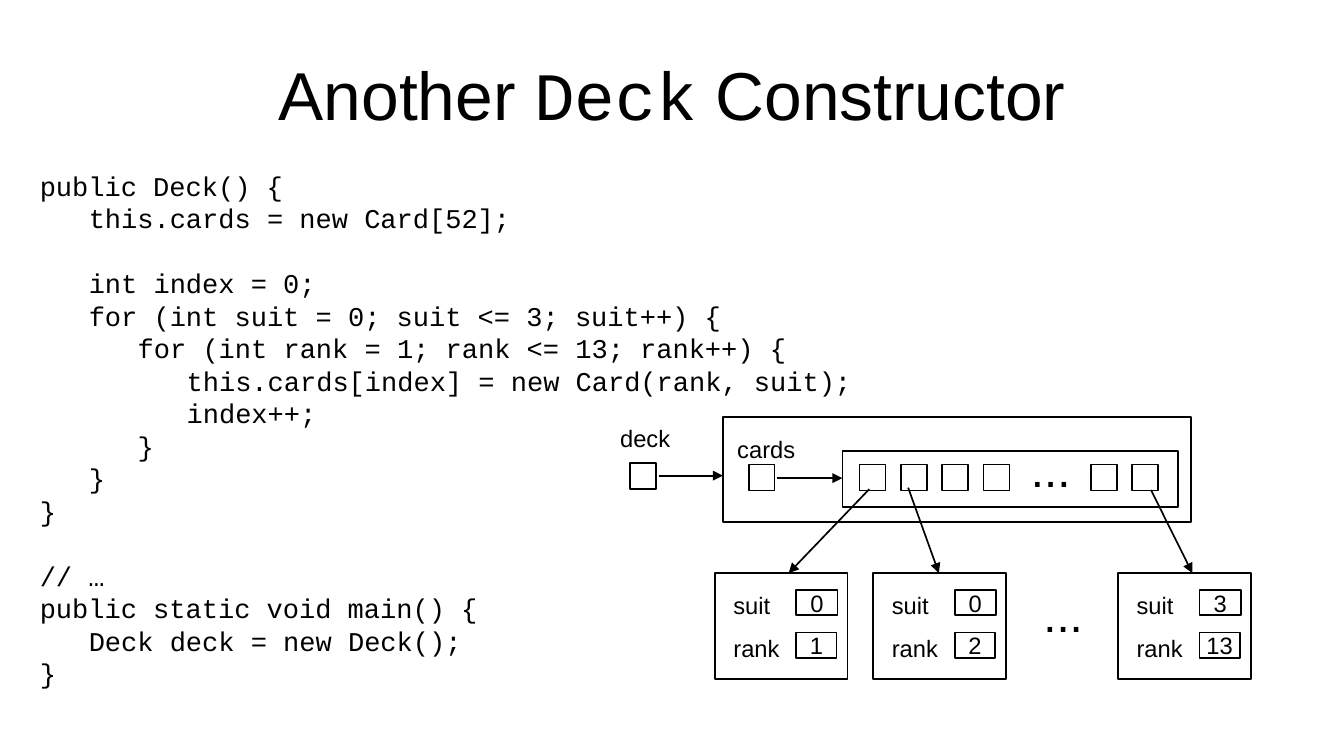
import dataclasses
import typing

import pptx
import pptx.dml.color
import pptx.enum.shapes
import pptx.enum.text
import pptx.oxml
import pptx.oxml.ns
import pptx.util

Cm = pptx.util.Cm
Pt = pptx.util.Pt
RGB = pptx.dml.color.RGBColor
Anchor = pptx.enum.text.MSO_ANCHOR
Align = pptx.enum.text.PP_ALIGN
Fit = pptx.enum.text.MSO_AUTO_SIZE


@dataclasses.dataclass(frozen=True)
class Theme:
    ink: RGB = RGB(0, 0, 0)
    paper: RGB = RGB(255, 255, 255)
    sans: str = "Arial"
    mono: str = "Courier New"
    title: float = 40
    code: float = 16
    label: float = 14
    dots: float = 28
    line: float = 1
    pitch: float = 19.2


class Box(typing.NamedTuple):
    left: float
    top: float
    width: float
    height: float
    text: str = ""
    filled: bool = True


class Label(typing.NamedTuple):
    left: float
    top: float
    width: float
    height: float
    text: str
    size: float


class Arrow(typing.NamedTuple):
    x1: float
    y1: float
    x2: float
    y2: float


class Card(typing.NamedTuple):
    left: float
    suit: str
    rank: str


class Line(typing.NamedTuple):
    level: int
    text: str
    gap: bool = False


THEME = Theme()
INSET = {"margin_left": Cm(0.25), "margin_right": Cm(0.25),
         "margin_top": Cm(0.13), "margin_bottom": Cm(0.13)}
LABEL = {**INSET, "word_wrap": False, "auto_size": Fit.SHAPE_TO_FIT_TEXT,
         "vertical_anchor": Anchor.TOP}
VALUE = {"margin_left": Cm(0.28), "margin_right": Cm(0.28),
         "margin_top": Cm(0.15), "margin_bottom": Cm(0.15),
         "word_wrap": False, "vertical_anchor": Anchor.MIDDLE}
TITLE = {"margin_left": 0, "margin_right": 0, "margin_top": 0,
         "margin_bottom": 0, "vertical_anchor": Anchor.MIDDLE}

CODE = [
    Line(0, "public Deck() {"),
    Line(1, "this.cards = new Card[52];"),
    Line(1, "int index = 0;", True),
    Line(1, "for (int suit = 0; suit <= 3; suit++) {"),
    Line(2, "for (int rank = 1; rank <= 13; rank++) {"),
    Line(3, "this.cards[index] = new Card(rank, suit);"),
    Line(3, "index++;"),
    Line(2, "}"),
    Line(1, "}"),
    Line(0, "}"),
    Line(0, "// …", True),
    Line(0, "public static void main() {"),
    Line(1, "Deck deck = new Deck();"),
    Line(0, "}"),
]
INDENT = Cm(1.02)
CELL = 0.54
CELL_TOP = 9.68
CELL_STEP = 0.86
CELL_LEFT = 17.91
SLOTS = [0, 1, 2, 3, 5.6, 6.6]
CARD_TOP = 11.94
BOXES = [
    Box(15.06, 8.69, 9.75, 2.18, filled=False),
    Box(17.55, 9.4, 6.99, 1.17),
    Box(13.13, 9.65, CELL, CELL),
    Box(15.6, CELL_TOP, CELL, CELL),
    *[Box(CELL_LEFT + slot * CELL_STEP, CELL_TOP, CELL, CELL) for slot in SLOTS],
]
LABELS = [
    Label(12.67, 8.69, 1.55, 0.81, "deck", THEME.label),
    Label(15.11, 8.92, 1.73, 0.81, "cards", THEME.label),
    Label(21.23, 9.04, 1.4, 1.35, "...", THEME.dots),
    Label(21.49, 12.07, 1.4, 1.35, "...", THEME.dots),
]
CARDS = [Card(14.89, "0", "1"), Card(18.19, "0", "2"), Card(23.29, "3", "13")]
ARROWS = [
    Arrow(13.72, 9.91, 15.06, 9.91),
    Arrow(16.18, 9.96, 17.55, 9.96),
    Arrow(18.11, 10.19, 16.43, CARD_TOP),
    Arrow(18.92, 10.16, 19.56, CARD_TOP),
    Arrow(23.98, 10.21, 24.84, CARD_TOP),
]


def apply(target: typing.Any, values: dict) -> None:
    for name, value in values.items():
        setattr(target, name, value)


def add_run(par: typing.Any, text: str, size: float, face: str) -> None:
    run = par.add_run()
    run.text = text
    apply(run.font, {"size": Pt(size), "name": face})
    run.font.color.rgb = THEME.ink


def draw_box(slide: typing.Any, box: Box) -> None:
    shape = slide.shapes.add_shape(
        pptx.enum.shapes.MSO_SHAPE.RECTANGLE, *map(Cm, box[:4]))
    shape.shadow.inherit = False
    if box.filled:
        shape.fill.solid()
        shape.fill.fore_color.rgb = THEME.paper
    else:
        shape.fill.background()
    shape.line.color.rgb = THEME.ink
    shape.line.width = Pt(THEME.line)
    if box.text:
        apply(shape.text_frame, VALUE)
        par = shape.text_frame.paragraphs[0]
        par.alignment = Align.CENTER
        add_run(par, box.text, THEME.label, THEME.sans)


def draw_label(slide: typing.Any, label: Label) -> None:
    frame = slide.shapes.add_textbox(*map(Cm, label[:4])).text_frame
    apply(frame, LABEL)
    add_run(frame.paragraphs[0], label.text, label.size, THEME.sans)


def draw_arrow(slide: typing.Any, arrow: Arrow) -> None:
    link = slide.shapes.add_connector(
        pptx.enum.shapes.MSO_CONNECTOR.STRAIGHT, *map(Cm, arrow))
    link.line.color.rgb = THEME.ink
    link.line.width = Pt(THEME.line)
    head = pptx.oxml.parse_xml(
        f'<a:tailEnd {pptx.oxml.ns.nsdecls("a")} type="triangle"/>')
    link.line._get_or_add_ln().append(head)
    link._element.spPr.append(pptx.oxml.parse_xml(
        f'<a:effectLst {pptx.oxml.ns.nsdecls("a")}/>'))


def draw_card(slide: typing.Any, card: Card) -> None:
    draw_box(slide, Box(card.left, CARD_TOP, 2.77, 2.21))
    rows = [("suit", card.suit, 1.27, 0.86), ("rank", card.rank, 1.47, 0.84)]
    for row, (name, value, wide, slot) in enumerate(rows):
        top = CARD_TOP + row * 0.89
        draw_box(slide, Box(card.left + 1.7, top + 0.35, slot, 0.53, value))
        draw_label(slide, Label(card.left + 0.14, top + 0.24, wide, 0.81,
                                name, THEME.label))


def draw_title(slide: typing.Any) -> None:
    title = slide.shapes.title
    apply(title, {"left": Cm(1.4), "top": Cm(0.63),
                  "width": Cm(25.2), "height": Cm(2.64)})
    apply(title.text_frame, TITLE)
    par = title.text_frame.paragraphs[0]
    par.alignment = Align.CENTER
    for text, face in [("Another ", THEME.sans), ("Deck", THEME.mono),
                       (" Constructor", THEME.sans)]:
        add_run(par, text, THEME.title, face)


def draw_code(slide: typing.Any) -> None:
    frame = slide.shapes.add_textbox(
        Cm(0.58), Cm(3.4), Cm(17.42), Cm(11.13)).text_frame
    apply(frame, LABEL)
    for row, line in enumerate(CODE):
        par = frame.add_paragraph() if row else frame.paragraphs[0]
        apply(par, {"line_spacing": Pt(THEME.pitch),
                    "space_before": Pt(THEME.pitch if line.gap else 0)})
        par._p.get_or_add_pPr().set("marL", str(line.level * INDENT))
        add_run(par, line.text, THEME.code, THEME.mono)


def main() -> None:
    deck = pptx.Presentation()
    apply(deck, {"slide_width": Cm(28), "slide_height": Cm(15.75)})
    slide = deck.slides.add_slide(deck.slide_layouts[5])
    draw_title(slide)
    draw_code(slide)
    for draw, items in [(draw_box, BOXES), (draw_card, CARDS),
                        (draw_arrow, ARROWS), (draw_label, LABELS)]:
        for item in items:
            draw(slide, item)
    deck.save("out.pptx")


if __name__ == "__main__":
    main()
